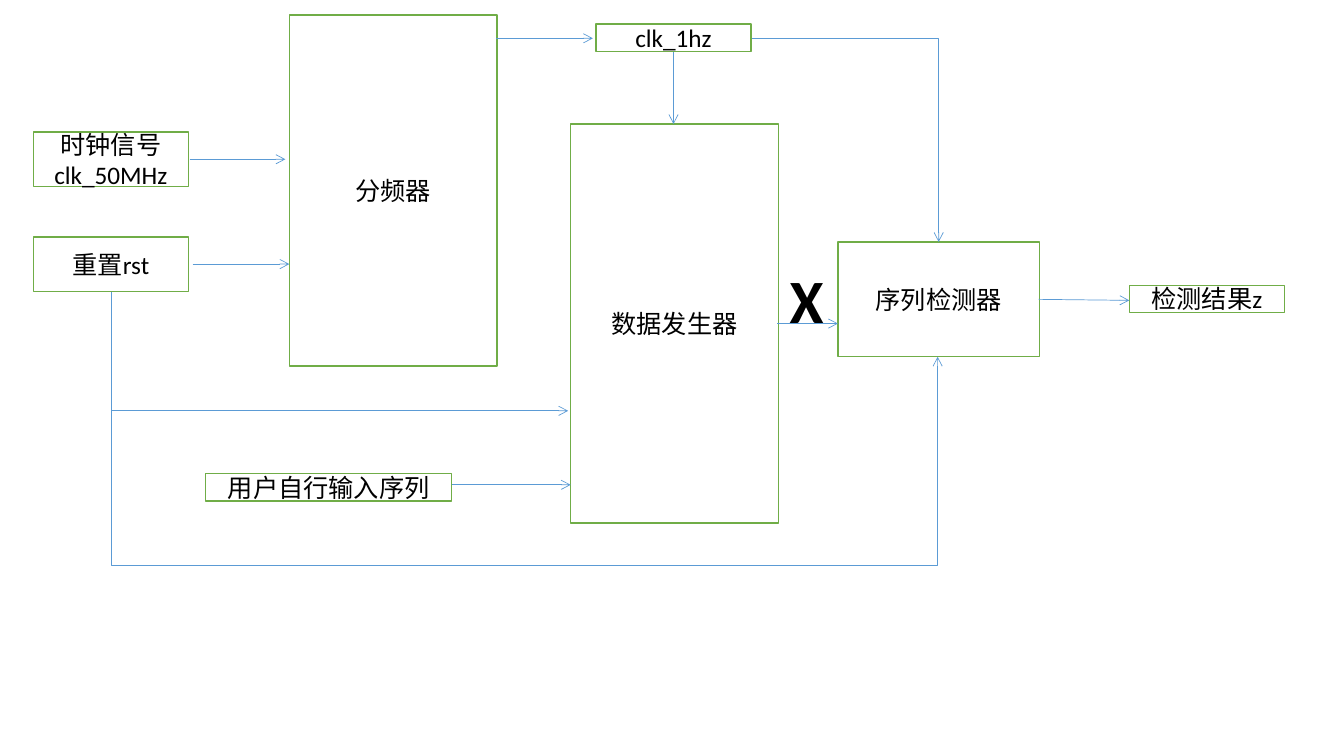
from lxml.etree import SubElement
from pptx import Presentation
from pptx.dml.color import RGBColor
from pptx.enum.shapes import MSO_CONNECTOR, MSO_SHAPE
from pptx.enum.text import MSO_ANCHOR, MSO_AUTO_SIZE, PP_ALIGN
from pptx.oxml.ns import qn
from pptx.util import Inches, Pt

GREEN = RGBColor(0x70, 0xAD, 0x47)
BLUE = RGBColor(0x5B, 0x9B, 0xD5)
WHITE = RGBColor(0xFF, 0xFF, 0xFF)
BLACK = RGBColor(0x00, 0x00, 0x00)


def write_centred(text_frame, text, size, bold=False):
    text_frame.text = text
    paragraph = text_frame.paragraphs[0]
    paragraph.alignment = PP_ALIGN.CENTER
    paragraph.font.name = "Calibri"
    paragraph.font.size = Pt(size)
    paragraph.font.bold = bold
    paragraph.font.color.rgb = BLACK


def add_arrow(kind, *ends):
    connector = slide.shapes.add_connector(kind, *map(Inches, ends))
    connector.line.color.rgb = BLUE
    connector.line.width = Pt(0.5)
    properties = connector._element.spPr
    SubElement(properties.find(qn("a:ln")), qn("a:tailEnd"), type="arrow")
    SubElement(properties, qn("a:effectLst"))
    return properties


presentation = Presentation()
presentation.slide_width = Inches(13.33)
presentation.slide_height = Inches(7.5)
slide = presentation.slides.add_slide(presentation.slide_layouts[6])

# Blocks and signals: text, left, top, width, height
boxes = [
    ("数据发生器", 5.66, 1.23, 2.06, 3.96),
    ("重置rst", 0.33, 2.35, 1.54, 0.54),
    ("时钟信号clk_50MHz", 0.33, 1.31, 1.54, 0.54),
    ("clk_1hz", 5.91, 0.24, 1.54, 0.27),
    ("分频器", 2.87, 0.15, 2.06, 3.48),
    ("序列检测器", 8.31, 2.4, 2, 1.14),
    ("检测结果z", 11.2, 2.83, 1.54, 0.27),
    ("用户自行输入序列", 2.04, 4.7, 2.44, 0.27),
]
for text, *position in boxes:
    shape = slide.shapes.add_shape(MSO_SHAPE.RECTANGLE, *map(Inches, position))
    shape.shadow.inherit = False
    shape.fill.solid()
    shape.fill.fore_color.rgb = WHITE
    shape.line.color.rgb = GREEN
    shape.line.width = Pt(1)
    shape.text_frame.vertical_anchor = MSO_ANCHOR.MIDDLE
    write_centred(shape.text_frame, text, 18)

# Straight arrows: start x, start y, end x, end y
straight_arrows = [
    (1.91, 2.62, 2.87, 2.62),
    (1.88, 1.58, 2.83, 1.58),
    (4.92, 0.38, 5.88, 0.38),
    (6.68, 0.52, 6.68, 1.23),
    (7.71, 3.21, 8.31, 3.21),
    (10.3, 2.97, 11.2, 2.98),
    (4.48, 4.81, 5.66, 4.81),
]
for ends in straight_arrows:
    add_arrow(MSO_CONNECTOR.STRAIGHT, *ends)

# Elbow arrows: ends before rotation, preset, rotation in degrees, bend position
elbow_arrows = [
    ((2.78, 5.75, 3.96, 1.22), "bentConnector2", 90, None),
    ((7.46, 0.38, 9.31, 2.4), "bentConnector2", 0, None),
    ((4.88, 7.32, 5.52, -0.88), "bentConnector3", 90, 4.226),
]
for ends, preset, rotation, bend in elbow_arrows:
    properties = add_arrow(MSO_CONNECTOR.ELBOW, *ends)
    properties.find(qn("a:xfrm")).set("rot", str(rotation * 60000))
    geometry = properties.find(qn("a:prstGeom"))
    geometry.set("prst", preset)
    if bend:
        SubElement(geometry.find(qn("a:avLst")), qn("a:gd"),
                   name="adj1", fmla=f"val {round(bend * 100000)}")

# Label of the data line
label = slide.shapes.add_textbox(Inches(7.73), Inches(2.55), Inches(0.54), Inches(0.84))
label.text_frame.word_wrap = False
label.text_frame.auto_size = MSO_AUTO_SIZE.SHAPE_TO_FIT_TEXT
write_centred(label.text_frame, "X", 44, bold=True)

presentation.save("out.pptx")
